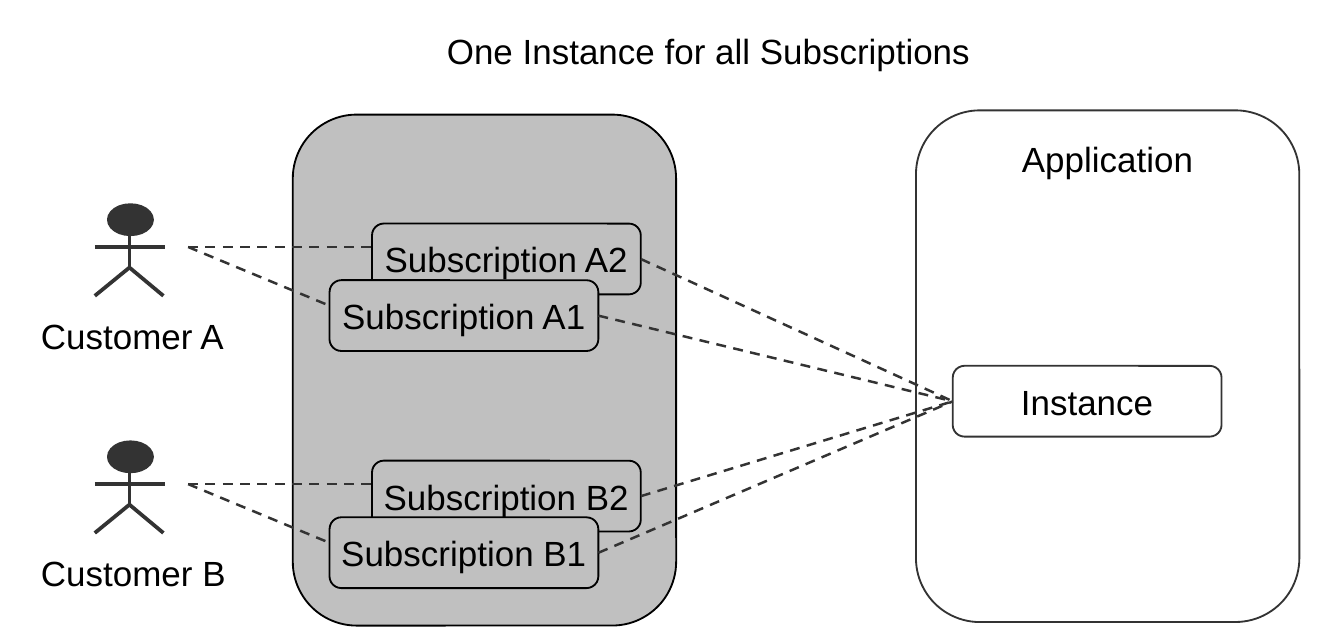
from pptx import Presentation
from pptx.dml.color import RGBColor
from pptx.enum import dml, shapes, text
from pptx.oxml.ns import qn
from pptx.util import Cm, Pt

COLORS = {"ink": "333333", "black": "000000", "gray": "C0C0C0", "white": "FFFFFF"}


def write(sp, words, align, anchor, wrap=False):
    tf = sp.text_frame
    tf.word_wrap = wrap
    tf.auto_size = text.MSO_AUTO_SIZE.NONE
    tf.vertical_anchor = anchor
    p = tf.paragraphs[0]
    p.alignment = align
    r = p.add_run()
    r.text = words
    r.font.name = "Arial"
    r.font.size = Pt(14)
    r.font.color.rgb = RGBColor.from_string(COLORS["black"])


def draw(sp, line, width, fill=None, dashed=False):
    if fill:
        sp.shadow.inherit = False
        sp.fill.solid()
        sp.fill.fore_color.rgb = RGBColor.from_string(COLORS[fill])
    else:
        sp._element.spPr.get_or_add_ln().addnext(
            sp._element.makeelement(qn("a:effectLst"), {}))
    sp.line.color.rgb = RGBColor.from_string(COLORS[line])
    sp.line.width = Pt(width)
    if dashed:
        sp.line.dash_style = dml.MSO_LINE.DASH


ROUND = shapes.MSO_SHAPE.ROUNDED_RECTANGLE
STRAIGHT = shapes.MSO_CONNECTOR.STRAIGHT
LEFT, CENTER = text.PP_ALIGN.LEFT, text.PP_ALIGN.CENTER
TOP, MIDDLE = text.MSO_ANCHOR.TOP, text.MSO_ANCHOR.MIDDLE

prs = Presentation()
prs.slide_width, prs.slide_height = Cm(19), Cm(9)
s = prs.slides.add_slide(prs.slide_layouts[5])

title = s.shapes.title
title.left, title.top, title.width, title.height = Cm(2.36), Cm(0.28), Cm(15.32), Cm(0.86)
write(title, "One Instance for all Subscriptions", CENTER, MIDDLE, True)

application = s.shapes.add_shape(ROUND, Cm(12.95), Cm(1.56), Cm(5.42), Cm(7.23))
draw(application, "ink", 0.75, "white")
write(application, "Application", CENTER, TOP)

subscriptions = s.shapes.add_shape(ROUND, Cm(4.14), Cm(1.62), Cm(5.42), Cm(7.22))
draw(subscriptions, "black", 0.75, "gray")

instance = s.shapes.add_shape(ROUND, Cm(13.47), Cm(5.17), Cm(3.8), Cm(1))
draw(instance, "ink", 0.75, "white")
write(instance, "Instance", CENTER, MIDDLE)

limbs = [
    (1.83, 3.3, 1.83, 3.78),
    (1.34, 3.49, 2.33, 3.49),
    (1.83, 3.78, 1.34, 4.18),
    (1.83, 3.78, 2.31, 4.18),
]
cards = [(2, 5.26, 3.16, 3.49), (1, 4.66, 3.96, 4.32)]

for row, customer in enumerate("AB"):
    dy = row * 3.35

    boxes = []
    for number, x, y, link_y in cards:
        sp = s.shapes.add_shape(ROUND, Cm(x), Cm(y + dy), Cm(3.8), Cm(1))
        draw(sp, "black", 0.75, "gray")
        write(sp, f"Subscription {customer}{number}", CENTER, MIDDLE)
        boxes.append(sp)

    person = s.shapes.add_group_shape()
    head = person.shapes.add_shape(
        shapes.MSO_SHAPE.OVAL, Cm(1.54), Cm(2.9 + dy), Cm(0.61), Cm(0.41))
    draw(head, "ink", 1.5, "ink")
    for x1, y1, x2, y2 in limbs:
        limb = person.shapes.add_connector(
            STRAIGHT, Cm(x1), Cm(y1 + dy), Cm(x2), Cm(y2 + dy))
        draw(limb, "ink", 1.5)

    label = s.shapes.add_textbox(Cm(0.33), Cm(4.32 + dy), Cm(3.12), Cm(0.86))
    write(label, f"Customer {customer}", LEFT, TOP)

    for box, (number, x, y, link_y) in zip(boxes, cards):
        owns = s.shapes.add_connector(
            STRAIGHT, Cm(2.66), Cm(3.49 + dy), Cm(x), Cm(link_y + dy))
        draw(owns, "ink", 1, dashed=True)
        uses = s.shapes.add_connector(STRAIGHT, 0, 0, 0, 0)
        uses.begin_connect(box, 3)
        uses.end_connect(instance, 1)
        draw(uses, "ink", 1, dashed=True)

prs.save("out.pptx")
